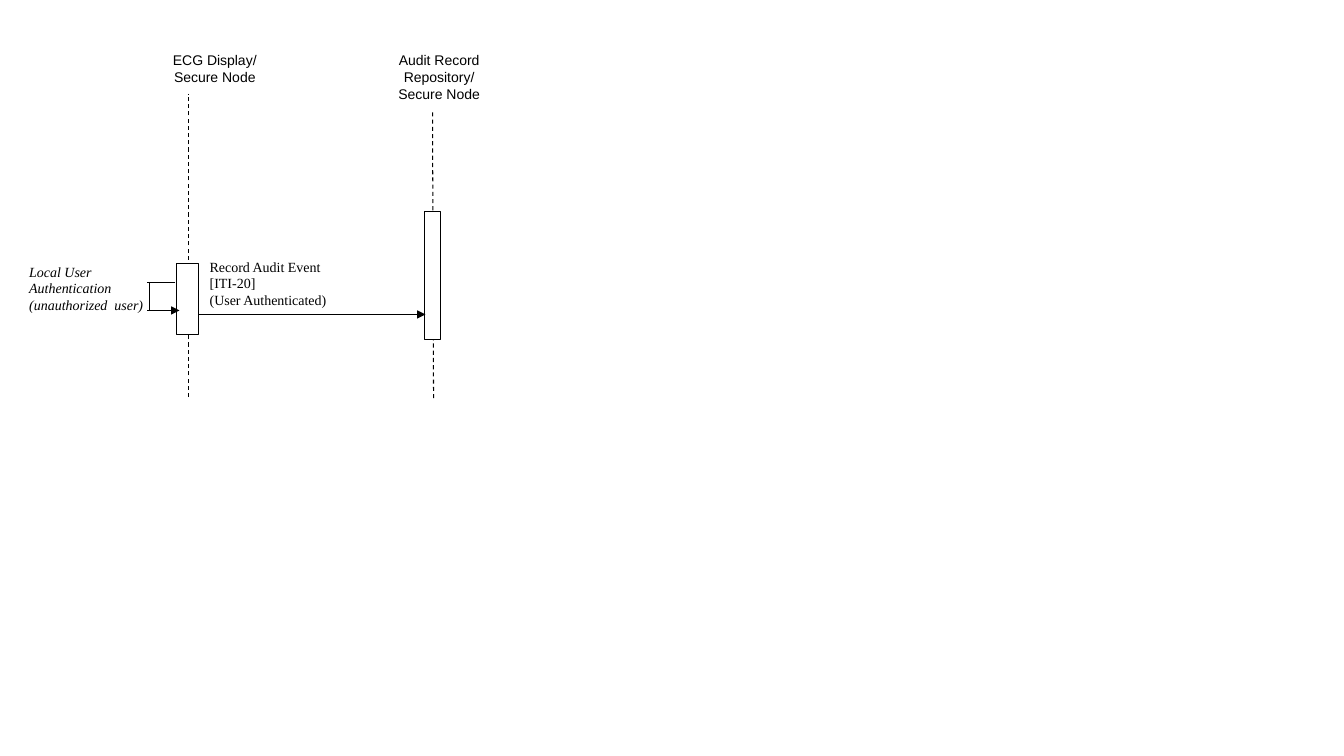
"""Build a sequence diagram of a secure node recording an audit event."""
import pptx
import pptx.dml.color
import pptx.enum.dml
import pptx.enum.shapes
import pptx.enum.text
import pptx.oxml
import pptx.oxml.ns
import pptx.util
from pptx.util import Inches

INK = pptx.dml.color.RGBColor(0, 0, 0)
PAPER = pptx.dml.color.RGBColor(255, 255, 255)
THEME = {"ink": INK, "paper": PAPER, "size": 10, "line": 0.75,
         "head": "Arial", "body": "Times New Roman"}
ALIGN = pptx.enum.text.PP_ALIGN
DASH = pptx.enum.dml.MSO_LINE.DASH

LIVES = [
    ((4.3, 3.95), (4.29, 1.11)),
    ((1.87, 3.94), (1.87, 0.93)),
]
HEADS = [
    ("ECG Display/\nSecure Node", (1.59, 0.51, 1.08, 0.34)),
    ("Audit Record Repository/\nSecure Node", (3.66, 0.51, 1.39, 0.51)),
]
NOTES = [
    ("Record Audit Event [ITI-20]\n(User Authenticated)",
     (2.08, 2.56, 1.27, 0.56), False),
    ("Local User \nAuthentication\n(unauthorized  user)",
     (0.29, 2.61, 1.23, 0.56), True),
]
BARS = [(4.21, 2.1, 0.16, 1.27), (1.75, 2.61, 0.22, 0.71)]
LOOP = [
    ((1.74, 2.8), (1.46, 2.8)),
    ((1.48, 2.8), (1.48, 3.08)),
]
CALLS = [
    ((1.46, 3.08), (1.78, 3.08)),
    ((1.97, 3.12), (4.22, 3.12)),
]

deck = pptx.Presentation()
deck.slide_width, deck.slide_height = Inches(13.33), Inches(7.5)
slide = deck.slides.add_slide(deck.slide_layouts[6])


def ink(line):
    line.color.rgb = THEME["ink"]
    line.width = pptx.util.Pt(THEME["line"])


def box(place):
    shape = slide.shapes.add_shape(
        pptx.enum.shapes.MSO_SHAPE.RECTANGLE, *map(Inches, place))
    shape.shadow.inherit = False
    shape.fill.solid()
    shape.fill.fore_color.rgb = THEME["paper"]
    return shape


def label(text, place, font, align, slant=False):
    shape = box(place)
    shape.line.fill.background()
    frame = shape.text_frame
    frame.word_wrap = True
    frame.vertical_anchor = pptx.enum.text.MSO_ANCHOR.TOP
    frame.margin_left = frame.margin_right = 0
    frame.margin_top = frame.margin_bottom = 0
    frame.text = text
    for para in frame.paragraphs:
        para.alignment = align
        for run in para.runs:
            run.font.name = font
            run.font.size = pptx.util.Pt(THEME["size"])
            run.font.color.rgb = THEME["ink"]
            run.font.italic = slant


def link(start, end, dash=False, arrow=False):
    wire = slide.shapes.add_connector(
        pptx.enum.shapes.MSO_CONNECTOR.STRAIGHT, *map(Inches, start + end))
    ink(wire.line)
    if dash:
        wire.line.dash_style = DASH
    if arrow:
        tip = pptx.oxml.parse_xml(
            f'<a:tailEnd {pptx.oxml.ns.nsdecls("a")} type="triangle"/>')
        wire.line._get_or_add_ln().append(tip)
    wire._element.spPr.append(pptx.oxml.parse_xml(
        f'<a:effectLst {pptx.oxml.ns.nsdecls("a")}/>'))


for start, end in LIVES:
    link(start, end, dash=True)
for text, place in HEADS:
    label(text, place, THEME["head"], ALIGN.CENTER)
for text, place, slant in NOTES:
    label(text, place, THEME["body"], ALIGN.LEFT, slant)
for place in BARS:
    ink(box(place).line)
for start, end in LOOP:
    link(start, end)
for start, end in CALLS:
    link(start, end, arrow=True)

deck.save("out.pptx")
